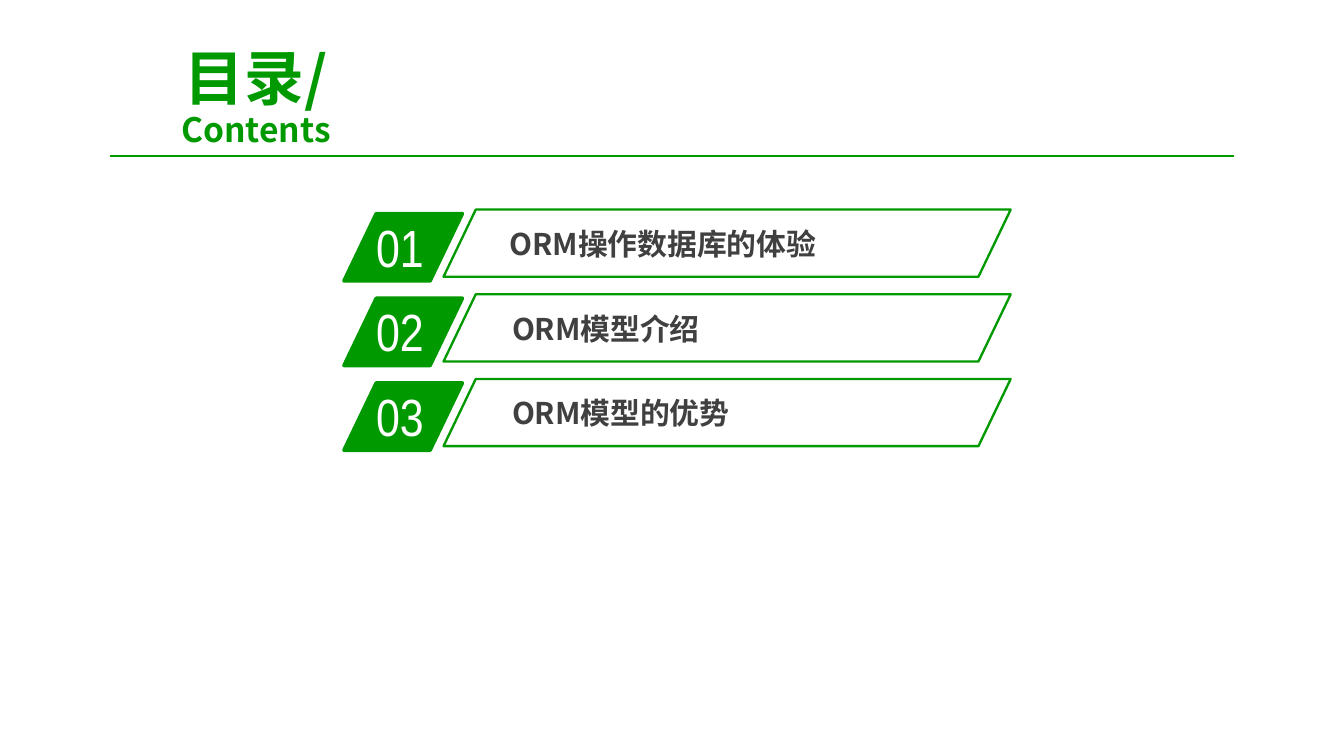
from dataclasses import dataclass

from lxml import etree
from pptx import Presentation
from pptx.dml.color import RGBColor
from pptx.enum import shapes, text
from pptx.oxml import ns
from pptx.util import Inches, Pt


@dataclass(frozen=True)
class Theme:
    """Colours, fonts and type sizes of the slide."""
    green: RGBColor = RGBColor(0x00, 0x99, 0x00)
    grey: RGBColor = RGBColor(0x40, 0x40, 0x40)
    white: RGBColor = RGBColor(0xFF, 0xFF, 0xFF)
    heading_font: str = "Noto Sans CJK SC"
    number_font: str = "Arial Narrow"
    title: int = 32
    subtitle: int = 18
    number: int = 28
    label: int = 16


THEME = Theme()
ITEMS = [
    ("01", "ORM操作数据库的体验", 1.16),
    ("02", "ORM模型介绍", 1.18),
    ("03", "ORM模型的优势", 1.18),
]


def set_values(target, values):
    """Set each attribute of the target from a dict."""
    for name, value in values.items():
        setattr(target, name, value)


def add_run(paragraph, words, size, color, font, bold=False):
    """Add a run with the same Latin and East Asian font."""
    run = paragraph.add_run()
    run.text = words
    set_values(run.font, {"size": Pt(size), "name": font, "bold": bold})
    run.font.color.rgb = color
    latin = run.font._element.find(ns.qn("a:latin"))
    east_asian = etree.Element(ns.qn("a:ea"), typeface=font)
    latin.addnext(east_asian)


def add_text(slide, box, words, margins, **style):
    """Add a one-line text box."""
    shape = slide.shapes.add_textbox(*map(Inches, box))
    side, end = map(Inches, margins)
    set_values(shape.text_frame, {
        "word_wrap": True, "margin_left": side, "margin_right": side,
        "margin_top": end, "margin_bottom": end,
    })
    add_run(shape.text_frame.paragraphs[0], words, **style)


def add_parallelogram(slide, box, line_width, filled):
    """Add a green parallelogram, solid or outlined."""
    shape = slide.shapes.add_shape(shapes.MSO_SHAPE.PARALLELOGRAM, *map(Inches, box))
    shape.adjustments[0] = 0.48
    shape.shadow.inherit = False
    shape.line.color.rgb = THEME.green
    shape.line.width = Pt(line_width)
    if filled:
        shape.fill.solid()
        shape.fill.fore_color.rgb = THEME.green
    else:
        shape.fill.background()


def add_header(slide, left, top, width):
    """Place the two-line title and the rule below it."""
    title = slide.shapes.title
    set_values(title, {
        "left": Inches(left - 0.15), "top": Inches(top),
        "width": Inches(2.47), "height": Inches(0.54),
    })
    set_values(title.text_frame, {
        "word_wrap": True, "auto_size": text.MSO_AUTO_SIZE.NONE,
        "vertical_anchor": text.MSO_ANCHOR.MIDDLE,
    })
    paragraph = title.text_frame.paragraphs[0]
    set_values(paragraph, {
        "alignment": text.PP_ALIGN.CENTER, "line_spacing": 0.9, "space_before": Pt(6.4),
    })
    style = {"color": THEME.green, "font": THEME.heading_font, "bold": True}
    add_run(paragraph, "目录/", THEME.title, **style)
    paragraph.add_line_break()
    add_run(paragraph, "Contents", THEME.subtitle, **style)

    rule_top = Inches(top + 0.69)
    rule = slide.shapes.add_connector(
        shapes.MSO_CONNECTOR.STRAIGHT, Inches(left), rule_top, Inches(left + width), rule_top)
    rule.line.color.rgb = THEME.green
    rule.line.width = Pt(0.75)
    etree.SubElement(rule._element.spPr, ns.qn("a:effectLst"))


def add_entry(slide, left, top, number, label, label_offset):
    """Place one contents entry: numbered badge and framed label."""
    add_parallelogram(slide, (left, top + 0.04, 0.88, 0.5), 2, True)
    add_text(slide, (left + 0.14, top, 0.84, 0.57), number, (0.1, 0.05),
             size=THEME.number, color=THEME.white, font=THEME.number_font)
    add_text(slide, (left + label_offset, top + 0.09, 3.37, 0.35), label, (0.07, 0.04),
             size=THEME.label, color=THEME.grey, font=THEME.heading_font, bold=True)
    add_parallelogram(slide, (left + 0.74, top + 0.01, 4.22, 0.5), 1.25, False)


def add_contents(slide, left, top, pitch):
    """Stack the contents entries at an equal pitch."""
    for index, item in enumerate(ITEMS):
        add_entry(slide, left, top + index * pitch, *item)


def main():
    """Build and save the contents slide."""
    presentation = Presentation()
    width = Inches(10)
    set_values(presentation, {"slide_width": width, "slide_height": width * 9 // 16})
    slide = presentation.slides.add_slide(presentation.slide_layouts[5])
    add_header(slide, 0.82, 0.47, 8.36)
    add_contents(slide, 2.56, 1.55, 0.63)
    presentation.save("out.pptx")


if __name__ == "__main__":
    main()
